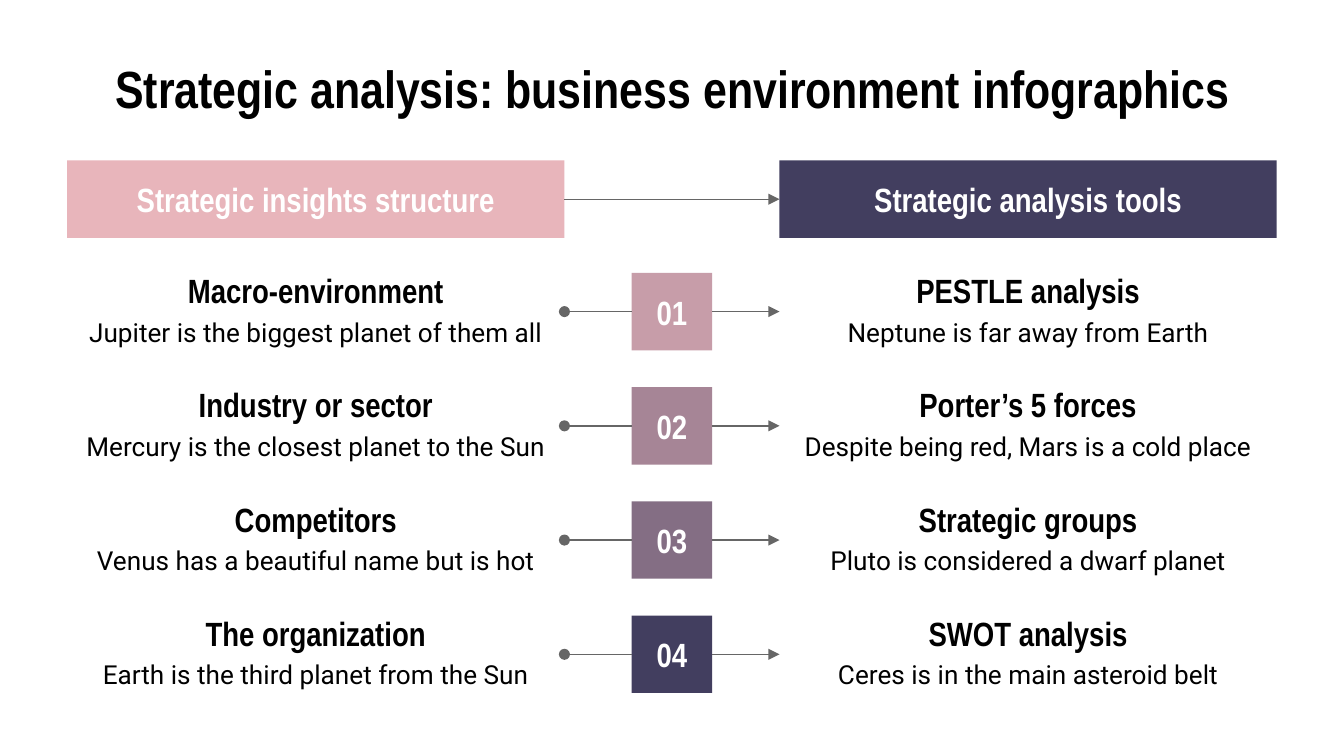
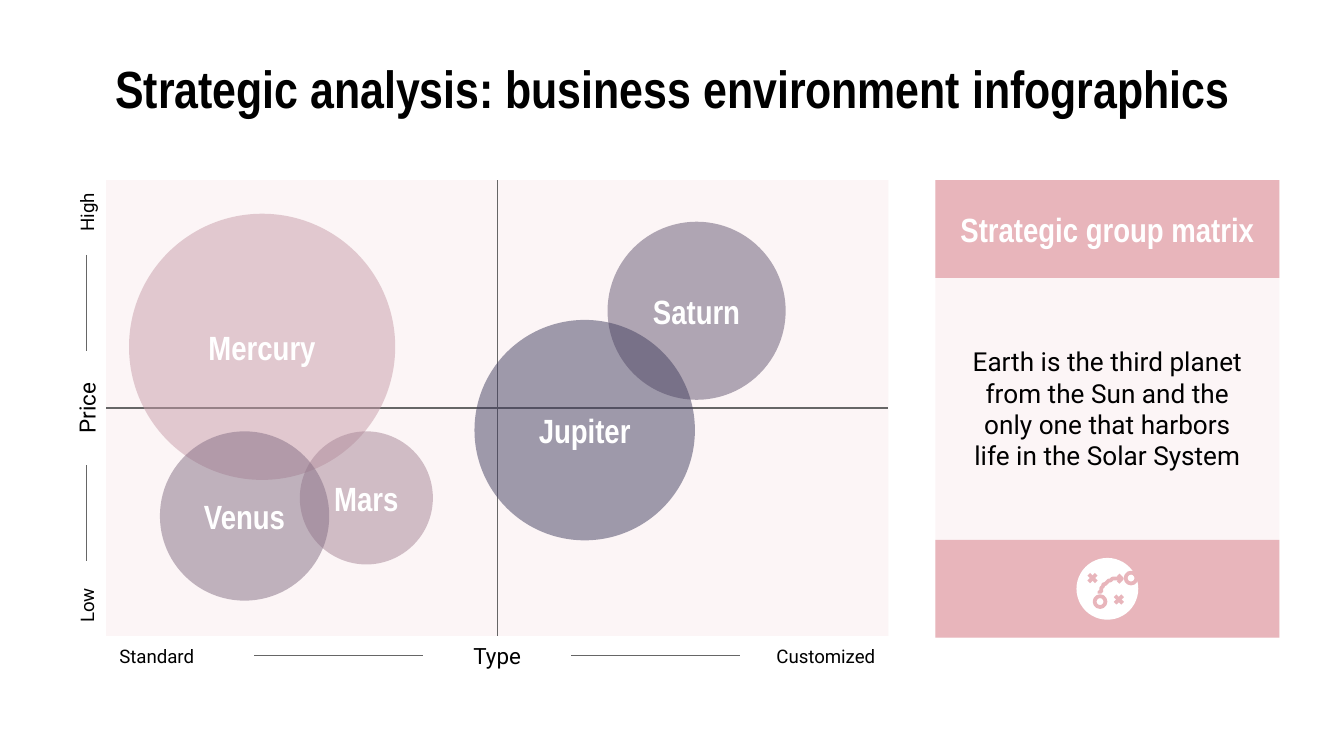
import math
from collections import namedtuple
from dataclasses import dataclass

from lxml import etree
from pptx import Presentation
from pptx.dml.color import RGBColor
from pptx.enum.shapes import MSO_CONNECTOR, MSO_SHAPE
from pptx.enum.text import MSO_ANCHOR, PP_ALIGN
from pptx.oxml.ns import qn
from pptx.util import Pt

RECTANGLE = MSO_SHAPE.RECTANGLE
OVAL = MSO_SHAPE.OVAL
STRAIGHT = MSO_CONNECTOR.STRAIGHT
MIDDLE = MSO_ANCHOR.MIDDLE
LEFT, CENTER, RIGHT = PP_ALIGN.LEFT, PP_ALIGN.CENTER, PP_ALIGN.RIGHT

Box = namedtuple("Box", "left top width height")


@dataclass(frozen=True)
class Theme:
    black: str = "000000"
    white: str = "FFFFFF"
    gray: str = "666666"
    pink: str = "E8B5BB"
    rose: str = "C79DA9"
    mauve: str = "A68596"
    plum: str = "846E84"
    violet: str = "635671"
    navy: str = "423E5F"
    heading_font: str = "Arial Narrow"
    body_font: str = "Roboto"
    title_size: float = 28
    heading_size: float = 18
    body_size: float = 14
    axis_size: float = 12
    label_size: float = 10
    inset: float = 7.2
    line_width: float = 0.75
    panel_opacity: int = 13
    bubble_opacity: int = 50


THEME = Theme()
TITLE = "Strategic analysis: business environment infographics"
TITLE_BOX = Box(36, 32.4, 648, 29.5)
HEADING = dict(font=THEME.heading_font, size=THEME.heading_size, bold=True)
WHITE_HEADING = dict(HEADING, color=THEME.white)

STRUCTURE_BOX = Box(36, 86, 648, 286)
COLUMN_WIDTH = 266.4
HEADER_HEIGHT = 41.5
FIRST_ROW, ROW_PITCH = 60.2, 61.2
NUMBER_WIDTH = 43.2
ROWS = [
    (THEME.rose, "Macro-environment", "Jupiter is the biggest planet of them all",
     "PESTLE analysis", "Neptune is far away from Earth"),
    (THEME.mauve, "Industry or sector", "Mercury is the closest planet to the Sun",
     "Porter’s 5 forces", "Despite being red, Mars is a cold place"),
    (THEME.plum, "Competitors", "Venus has a beautiful name but is hot",
     "Strategic groups", "Pluto is considered a dwarf planet"),
    (THEME.navy, "The organization", "Earth is the third planet from the Sun",
     "SWOT analysis", "Ceres is in the main asteroid belt"),
]

MATRIX_BOX = Box(56.9, 96.5, 419, 244.3)
CARD_BOX = Box(501.1, 96.5, 184.3, 245.2)
CARD_BAND = 52.5
BUBBLES = [
    ("Mercury", THEME.rose, 12.2, 18, 142.6),
    ("Mars", THEME.mauve, 103.7, 134.6, 71.3),
    ("Venus", THEME.plum, 28.8, 134.6, 90.7),
    ("Saturn", THEME.violet, 268.6, 22.3, 95.4),
    ("Jupiter", THEME.navy, 197.3, 74.9, 118.1),
]


def write(shape, text, font=THEME.body_font, size=THEME.body_size, bold=False,
          color=THEME.black, align=CENTER, wrap=True):
    frame = shape.text_frame
    frame.word_wrap = wrap
    frame.vertical_anchor = MIDDLE
    frame.margin_left = frame.margin_right = Pt(THEME.inset)
    frame.margin_top = frame.margin_bottom = Pt(THEME.inset)
    paragraph = frame.paragraphs[0]
    paragraph.alignment = align
    run = paragraph.add_run()
    run.text = text
    run.font.name = font
    run.font.size = Pt(size)
    run.font.bold = bold
    run.font.color.rgb = RGBColor.from_string(color)


def add_text(slide, box, text, rotation=0, **style):
    shape = slide.shapes.add_textbox(*map(Pt, box))
    shape.rotation = rotation
    write(shape, text, **style)


def add_block(slide, kind, box, fill, opacity=100, outline=None, width=2):
    shape = slide.shapes.add_shape(kind, *map(Pt, box))
    shape.shadow.inherit = False
    shape.fill.solid()
    shape.fill.fore_color.rgb = RGBColor.from_string(fill)
    if opacity < 100:
        color = shape.fill._xPr.find(qn("a:solidFill"))[0]
        etree.SubElement(color, qn("a:alpha")).set("val", str(opacity * 1000))
    if outline:
        shape.line.color.rgb = RGBColor.from_string(outline)
        shape.line.width = Pt(width)
    else:
        shape.line.fill.background()
    return shape


def add_line(slide, start, end, color=THEME.gray, width=THEME.line_width,
             head=None, tail=None):
    connector = slide.shapes.add_connector(STRAIGHT, *map(Pt, (*start, *end)))
    connector.line.color.rgb = RGBColor.from_string(color)
    connector.line.width = Pt(width)
    line = connector.line._get_or_add_ln()
    for tag, kind in (("a:headEnd", head), ("a:tailEnd", tail)):
        if kind:
            etree.SubElement(line, qn(tag)).set("type", kind)
    etree.SubElement(connector._element.spPr, qn("a:effectLst"))


def add_curve(slide, points, color, width):
    builder = slide.shapes.build_freeform(*points[0], scale=Pt(1))
    builder.add_line_segments(points[1:], close=False)
    shape = builder.convert_to_shape()
    shape.shadow.inherit = False
    shape.fill.background()
    shape.line.color.rgb = RGBColor.from_string(color)
    shape.line.width = Pt(width)


def add_title(slide):
    add_text(slide, TITLE_BOX, TITLE, font=THEME.heading_font,
             size=THEME.title_size, bold=True)


def add_structure_row(slide, box, number, row):
    fill, left_name, left_text, right_name, right_text = row
    right_column = box.left + box.width - COLUMN_WIDTH
    left_edge = box.left + COLUMN_WIDTH
    number_left = box.left + (box.width - NUMBER_WIDTH) / 2
    middle = box.top + box.height / 2
    square = add_block(slide, RECTANGLE,
                       Box(number_left, box.top, NUMBER_WIDTH, box.height), fill)
    write(square, f"{number:02d}", **WHITE_HEADING)
    for left, name, text in ((box.left, left_name, left_text),
                             (right_column, right_name, right_text)):
        add_text(slide, Box(left, box.top - 1.5, COLUMN_WIDTH, 21.6), name, **HEADING)
        add_text(slide, Box(left, box.top + 20.8, COLUMN_WIDTH, 21.6), text)
    add_line(slide, (left_edge, middle), (number_left, middle), head="oval")
    add_line(slide, (number_left + NUMBER_WIDTH, middle), (right_column, middle),
             tail="triangle")


def add_structure(slide, box):
    right_column = box.left + box.width - COLUMN_WIDTH
    middle = box.top + HEADER_HEIGHT / 2
    for left, fill, text in (
            (box.left, THEME.pink, "Strategic insights structure"),
            (right_column, THEME.navy, "Strategic analysis tools")):
        header = add_block(slide, RECTANGLE,
                           Box(left, box.top, COLUMN_WIDTH, HEADER_HEIGHT), fill)
        write(header, text, **WHITE_HEADING)
    add_line(slide, (box.left + COLUMN_WIDTH, middle), (right_column, middle),
             tail="triangle")
    for index, row in enumerate(ROWS):
        top = box.top + FIRST_ROW + index * ROW_PITCH
        add_structure_row(slide, Box(box.left, top, box.width, HEADER_HEIGHT),
                          index + 1, row)


def add_type_axis(slide, box):
    width = 79.2
    step = (box.width - width) / 2
    middle = box.top + box.height / 2
    labels = (("Standard", THEME.label_size, LEFT), ("Type", THEME.axis_size, CENTER),
              ("Customized", THEME.label_size, RIGHT))
    for index, (text, size, align) in enumerate(labels):
        left = box.left + index * step
        add_text(slide, Box(left, box.top, width, box.height), text,
                 size=size, align=align)
        if index:
            add_line(slide, (left - step + width, middle), (left, middle))


def add_price_axis(slide, box):
    center = box.left + box.width / 2
    price_length, end_length = 61.2, 40
    price_top = box.top + (box.height - price_length) / 2
    low_top = box.top + box.height - end_length
    labels = (("High", THEME.label_size, RIGHT, box.top, end_length),
              ("Price", THEME.axis_size, CENTER, price_top, price_length),
              ("Low", THEME.label_size, LEFT, low_top, end_length))
    previous_end = None
    for text, size, align, top, length in labels:
        turned = Box(center - length / 2, top + (length - box.width) / 2,
                     length, box.width)
        add_text(slide, turned, text, rotation=270, size=size, align=align)
        if previous_end:
            add_line(slide, (center, previous_end), (center, top))
        previous_end = top + length


def add_matrix(slide, box):
    center = box.left + box.width / 2
    middle = box.top + box.height / 2
    add_block(slide, RECTANGLE, box, THEME.pink, THEME.panel_opacity)
    add_type_axis(slide, Box(box.left, box.top + box.height, box.width, 20.9))
    add_price_axis(slide, Box(box.left - 20.9, box.top, 20.9, box.height))
    add_line(slide, (center, box.top), (center, box.top + box.height))
    add_line(slide, (box.left, middle), (box.left + box.width, middle))
    for name, fill, left, top, diameter in BUBBLES:
        bubble = add_block(slide, OVAL,
                           Box(box.left + left, box.top + top, diameter, diameter),
                           fill, THEME.bubble_opacity)
        write(bubble, name, wrap=False, **WHITE_HEADING)


def add_tactics_icon(slide, box):
    stroke = 2

    def place(x, y):
        return box.left + x, box.top + y

    add_block(slide, OVAL, box, THEME.white)
    for x, y in ((12.6, 23.4), (29.2, 10.8)):
        add_block(slide, OVAL, Box(*place(x - 2.9, y - 2.9), 5.8, 5.8),
                  THEME.white, outline=THEME.pink, width=stroke)
    for x, y in ((8.6, 10.8), (22.7, 22.3)):
        for slope in (-1, 1):
            add_line(slide, place(x - 2, y - 2 * slope), place(x + 2, y + 2 * slope),
                     color=THEME.pink, width=stroke)
    angles = [math.radians(degrees) for degrees in range(0, 91, 6)]
    run_path = [place(23.5 - 10.9 * math.cos(angle), 19.5 - 8.7 * math.sin(angle))
                for angle in angles]
    arrow_tip = [place(22.3, 9), place(24.1, 10.8), place(22.3, 12.6)]
    for points in (run_path, arrow_tip):
        add_curve(slide, points, THEME.pink, stroke)


def add_card(slide, box):
    icon_size = 33.1
    footer_top = box.top + box.height - CARD_BAND
    add_block(slide, RECTANGLE, box, THEME.pink, THEME.panel_opacity)
    add_block(slide, RECTANGLE, Box(box.left, footer_top, box.width, CARD_BAND),
              THEME.pink)
    header = add_block(slide, RECTANGLE,
                       Box(box.left, box.top, box.width, CARD_BAND), THEME.pink)
    write(header, "Strategic group matrix", **WHITE_HEADING)
    add_text(slide, Box(box.left + 12.6, box.top + 77, box.width - 25.2, 90.7),
             "Earth is the third planet from the Sun and the only one that "
             "harbors life in the Solar System")
    add_tactics_icon(slide, Box(box.left + (box.width - icon_size) / 2,
                                footer_top + (CARD_BAND - icon_size) / 2,
                                icon_size, icon_size))


def build_structure_slide(slide):
    add_title(slide)
    add_structure(slide, STRUCTURE_BOX)


def build_matrix_slide(slide):
    add_title(slide)
    add_matrix(slide, MATRIX_BOX)
    add_card(slide, CARD_BOX)


def main():
    presentation = Presentation()
    presentation.slide_width = Pt(720)
    presentation.slide_height = Pt(405)
    blank = presentation.slide_layouts[6]
    for build in (build_structure_slide, build_matrix_slide):
        build(presentation.slides.add_slide(blank))
    presentation.save("out.pptx")


if __name__ == "__main__":
    main()
